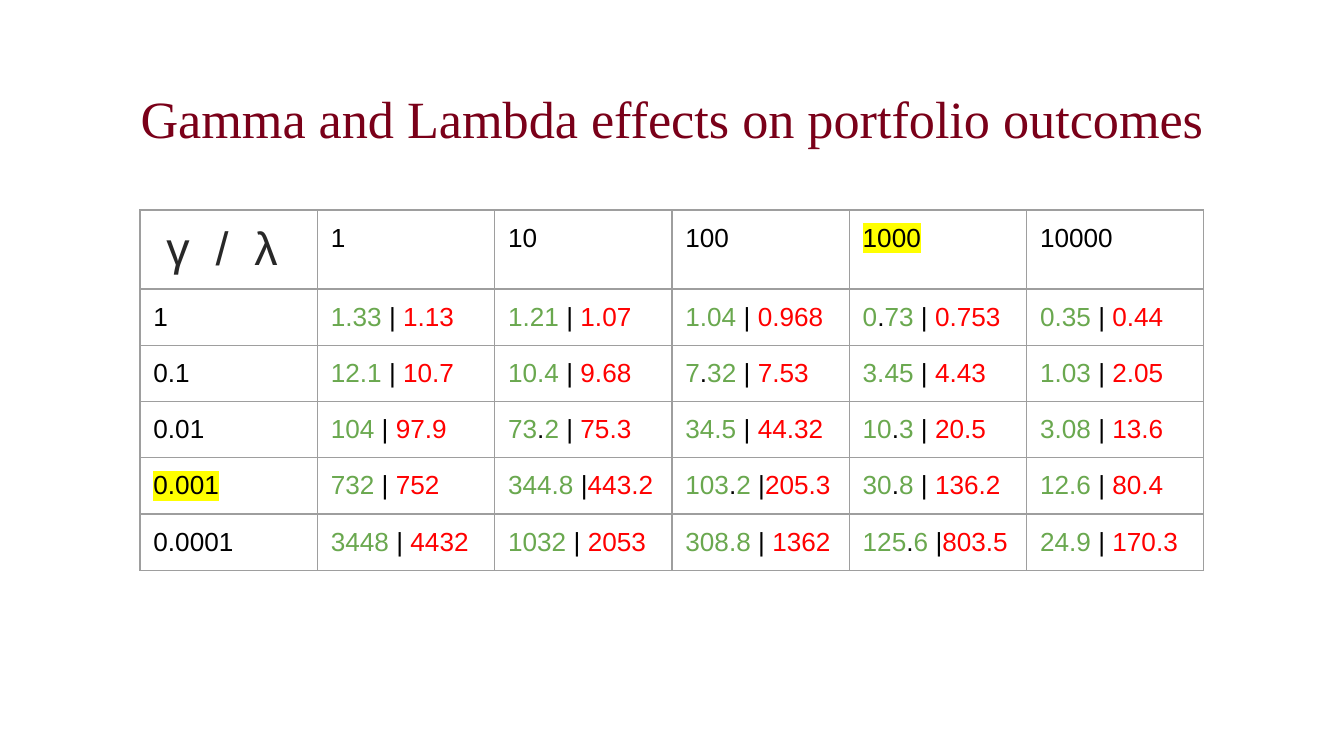
from lxml.etree import SubElement
from pptx import Presentation
from pptx.dml.color import RGBColor
from pptx.enum.text import MSO_ANCHOR, MSO_AUTO_SIZE, PP_ALIGN
from pptx.oxml.ns import qn
from pptx.util import Pt

GREEN, RED, BLACK, DARK = "6AA84F", "FF0000", "000000", "282828"
GREY, MAROON, YELLOW = "9E9E9E", "7A0019", "FFFF00"
PAD = Pt(7.2)

LAMBDAS = ["1", "10", "100", "1000", "10000"]
RESULTS = {
    "1": ["1.33 | 1.13", "1.21 | 1.07", "1.04 | 0.968", "0.73 | 0.753", "0.35 | 0.44"],
    "0.1": ["12.1 | 10.7", "10.4 | 9.68", "7.32 | 7.53", "3.45 | 4.43", "1.03 | 2.05"],
    "0.01": ["104 | 97.9", "73.2 | 75.3", "34.5 | 44.32", "10.3 | 20.5", "3.08 | 13.6"],
    "0.001": ["732 | 752", "344.8 |443.2", "103.2 |205.3", "30.8 | 136.2", "12.6 | 80.4"],
    "0.0001": ["3448 | 4432", "1032 | 2053", "308.8 | 1362", "125.6 |803.5", "24.9 | 170.3"],
}
CHOSEN = {"1000", "0.001"}
BLACK_DOTS = {"0.73", "7.32", "73.2", "10.3", "103.2", "30.8", "125.6"}


def color(code):
    return RGBColor.from_string(code)


def pad(item):
    item.margin_left = item.margin_right = PAD
    item.margin_top = item.margin_bottom = PAD


def add_title(slide, text, left, top, width, height):
    title = slide.shapes.title
    title.left, title.top, title.width, title.height = left, top, width, height
    frame = title.text_frame
    frame.text = text
    frame.word_wrap = True
    frame.auto_size = MSO_AUTO_SIZE.NONE
    frame.vertical_anchor = MSO_ANCHOR.TOP
    pad(frame)
    line = frame.paragraphs[0]
    line.alignment = PP_ALIGN.CENTER
    line.line_spacing = 1.12
    line.font.name = "Times New Roman"
    line.font.size = Pt(28)
    line.font.color.rgb = color(MAROON)


def add_borders(cell):
    props = cell._tc.get_or_add_tcPr()
    for index, side in enumerate(("a:lnL", "a:lnR", "a:lnT", "a:lnB")):
        line = props.makeelement(qn(side), {"w": str(Pt(0.75))})
        fill = SubElement(line, qn("a:solidFill"))
        SubElement(fill, qn("a:srgbClr"), val=GREY)
        props.insert(index, line)


def mark(run, code):
    light = SubElement(run.font._element, qn("a:highlight"))
    SubElement(light, qn("a:srgbClr"), val=code)


def split_pair(text):
    gain, loss = text.split(" |")
    if gain in BLACK_DOTS:
        whole, part = gain.split(".")
        parts = [(whole, GREEN), (".", BLACK), (part, GREEN)]
    else:
        parts = [(gain, GREEN)]
    bar = " | " if loss.startswith(" ") else " |"
    return parts + [(bar, BLACK), (loss.strip(), RED)]


def fill_cell(cell, parts, size=14):
    pad(cell)
    cell.fill.background()
    add_borders(cell)
    line = cell.text_frame.paragraphs[0]
    line.font.name = "Arial"
    line.font.size = Pt(size)
    for text, code in parts:
        run = line.add_run()
        run.text = text
        run.font.color.rgb = color(code)
        if text in CHOSEN:
            mark(run, YELLOW)


def add_results(slide, left, top, width, height):
    rows, cols = len(RESULTS) + 1, len(LAMBDAS) + 1
    table = slide.shapes.add_table(rows, cols, left, top, width, height).table
    table.first_row = table.horz_banding = False
    fill_cell(table.cell(0, 0), [(" γ  /  λ", DARK)], 25)
    for col, name in enumerate(LAMBDAS, 1):
        fill_cell(table.cell(0, col), [(name, BLACK)])
    for row, (gamma, pairs) in enumerate(RESULTS.items(), 1):
        fill_cell(table.cell(row, 0), [(gamma, BLACK)])
        for col, pair in enumerate(pairs, 1):
            fill_cell(table.cell(row, col), split_pair(pair))


def main():
    deck = Presentation()
    deck.slide_width, deck.slide_height = Pt(720), Pt(405)
    slide = deck.slides.add_slide(deck.slide_layouts[5])
    add_title(slide, "Gamma and Lambda effects on portfolio outcomes",
              Pt(24.5), Pt(35), Pt(671), Pt(45))
    add_results(slide, Pt(75), Pt(112.5), Pt(570), Pt(180))
    deck.save("out.pptx")


if __name__ == "__main__":
    main()
